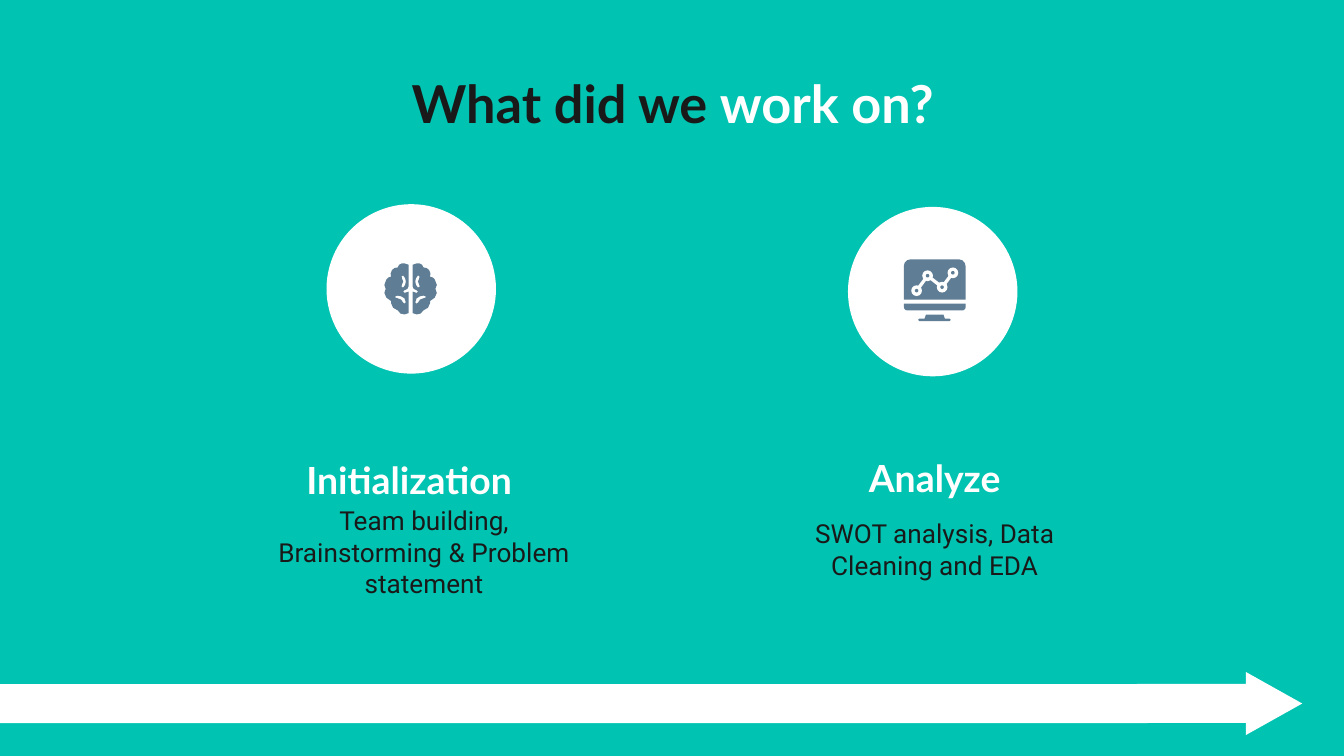
"""Build a slide with two work stages above a long arrow."""
import itertools

import pptx
import pptx.dml.color
import pptx.enum.shapes
import pptx.enum.text
import pptx.oxml.ns
import pptx.util
from lxml import etree

RGB = pptx.dml.color.RGBColor
KIND = pptx.enum.shapes.MSO_SHAPE
TEAL = RGB(0x00, 0xC3, 0xB1)
WHITE = RGB(0xFF, 0xFF, 0xFF)
INK = RGB(0x19, 0x19, 0x19)
SLATE = RGB(0x5F, 0x7D, 0x95)
COLS, ROWS = 100, 56.25
CELL = pptx.util.Inches(10) / COLS

LOBE = [(0.15, 0.1), (0.45, 0), (0.65, 0), (0.85, 0.1), (0.95, 0.3), (1.2, 0.35),
        (1.38, 0.5), (1.48, 0.75), (1.45, 1), (1.65, 1.05), (1.8, 1.2), (1.95, 1.6),
        (1.85, 1.9), (1.95, 2.2), (1.8, 2.55), (1.45, 2.8), (1.45, 2.95),
        (1.3, 3.3), (0.95, 3.5), (0.75, 3.73), (0.45, 3.8), (0.15, 3.7),
        (0.15, 2.1), (0.45, 2.2), (0.55, 2.1), (0.45, 2), (0.23, 1.9), (0.15, 1.7)]
FOLDS = [[(0.55, 0.9), (0.66, 0.95), (0.65, 1.1), (0.55, 1.35), (0.65, 1.6),
          (0.67, 1.75), (0.55, 1.8), (0.4, 1.6), (0.35, 1.35), (0.4, 1.1)],
         [(0.95, 2.4), (1.12, 2.45), (1.12, 2.55), (0.95, 2.6), (0.7, 2.7),
          (0.57, 2.9), (0.45, 3), (0.35, 2.9), (0.45, 2.6), (0.7, 2.45)]]
FOOT = [(68.9, 23.4), (68.8, 23.7), (68.4, 23.7), (68.32, 23.8), (68.4, 23.9),
        (70.65, 23.9), (70.75, 23.8), (70.65, 23.7), (70.3, 23.7), (70.2, 23.4)]
TREND = [(68.2, 21.63), (69.02, 20.52), (70.1, 21.37), (70.9, 20.3)]


def grid(*cells):
    """Turn grid cells into slide lengths."""
    return [pptx.util.Emu(round(n * CELL)) for n in cells]


def paint(shape, fill, line=None):
    """Give a shape a flat fill and an optional outline."""
    shape.shadow.inherit = False
    shape.fill.solid()
    shape.fill.fore_color.rgb = fill
    if line is None:
        shape.line.fill.background()
    else:
        shape.line.color.rgb = fill
        shape.line.width = pptx.util.Pt(line)
    return shape


def block(slide, kind, box, fill, line=None):
    """Add a preset shape."""
    return paint(slide.shapes.add_shape(kind, *grid(*box)), fill, line)


def disc(slide, mid, size, fill, line=None):
    """Add a circle around a middle point."""
    left, top = (n - size / 2 for n in mid)
    block(slide, KIND.OVAL, (left, top, size, size), fill, line)


def draw(slide, rings, fill):
    """Add one outline with any holes."""
    first, *holes = [[grid(*spot) for spot in ring] for ring in rings]
    pen = slide.shapes.build_freeform(*first[0], scale=1.0)
    pen.add_line_segments(first[1:], close=True)
    for ring in holes:
        pen.move_to(*ring[0])
        pen.add_line_segments(ring[1:], close=True)
    paint(pen.convert_to_shape(), fill)


def write(shape, parts, size=14, font="Roboto", bold=False):
    """Write centred text as pairs of words and colour."""
    frame = shape.text_frame
    frame.word_wrap = True
    frame.auto_size = pptx.enum.text.MSO_AUTO_SIZE.NONE
    frame.vertical_anchor = pptx.enum.text.MSO_ANCHOR.MIDDLE
    frame.margin_left, frame.margin_top, frame.margin_right, frame.margin_bottom = grid(1, 1, 1, 1)
    para = frame.paragraphs[0]
    para.alignment = pptx.enum.text.PP_ALIGN.CENTER
    for words, tint in parts:
        run = para.add_run()
        run.text = words
        run.font.name, run.font.size, run.font.bold = font, pptx.util.Pt(size), bold
        run.font.color.rgb = tint


def stage(slide, mid, head, head_box, note, note_box):
    """Add the circle, heading and note of a stage."""
    disc(slide, mid, 12.4, WHITE, 1.5)
    write(slide.shapes.add_textbox(*grid(*head_box)), [(head, WHITE)],
          size=20, font="Lato", bold=True)
    write(slide.shapes.add_textbox(*grid(*note_box)), [(note, INK)])


def brain(slide, mid, top):
    """Add two mirrored halves of a brain."""
    for side in (1, -1):
        draw(slide, [[(mid + side * x, top + y) for x, y in ring]
                     for ring in (LOBE, *FOLDS)], SLATE)


def screen(slide):
    """Add a monitor with a trend line."""
    kind = KIND.ROUND_2_SAME_RECTANGLE
    block(slide, kind, (67.25, 19.3, 4.6, 3), SLATE)
    base = block(slide, kind, (67.25, 22.6, 4.6, 0.5), SLATE)
    base.rotation = 180
    base.adjustments[0] = 0.5
    draw(slide, [FOOT], SLATE)
    for start, end in itertools.pairwise(TREND):
        link = slide.shapes.add_connector(
            pptx.enum.shapes.MSO_CONNECTOR.STRAIGHT, *grid(*start, *end))
        link.line.color.rgb = WHITE
        link.line.width = pptx.util.Pt(1.75)
        etree.SubElement(link._element.spPr, pptx.oxml.ns.qn("a:effectLst"))
    for spot in TREND:
        disc(slide, spot, 0.8, WHITE)
        disc(slide, spot, 0.26, SLATE)


def arrow(slide):
    """Add the long arrow along the foot of the slide."""
    block(slide, KIND.RECTANGLE, (0, 50.9, 85.4, 2.9), WHITE)
    draw(slide, [[(84.6, 53.8), (92.7, 53.8), (92.7, 54.7), (96.9, 52.35),
                  (92.7, 50), (92.7, 50.9), (84.6, 50.9)]], WHITE)


def main():
    """Build and save the slide."""
    deck = pptx.Presentation()
    deck.slide_width, deck.slide_height = grid(COLS, ROWS)
    slide = deck.slides.add_slide(deck.slide_layouts[5])
    slide.background.fill.solid()
    slide.background.fill.fore_color.rgb = TEAL
    arrow(slide)
    title = slide.shapes.title
    title.left, title.top, title.width, title.height = grid(7.9, 5, 84.3, 5.2)
    write(title, [("What did we ", INK), ("work on?", WHITE)],
          size=28, font="Lato", bold=True)
    stage(slide, (30.6, 21.5), "Initialization", (19.8, 32.8, 21.3, 5.8),
          "Team building, Brainstorming & Problem statement", (18.7, 38.6, 25.7, 4.9))
    stage(slide, (69.4, 21.7), "Analyze", (58.9, 32.6, 21.3, 5.8),
          "SWOT analysis, Data Cleaning and EDA", (58.9, 38.4, 21.3, 4.9))
    brain(slide, 30.55, 19.6)
    screen(slide)
    deck.save("out.pptx")


if __name__ == "__main__":
    main()
